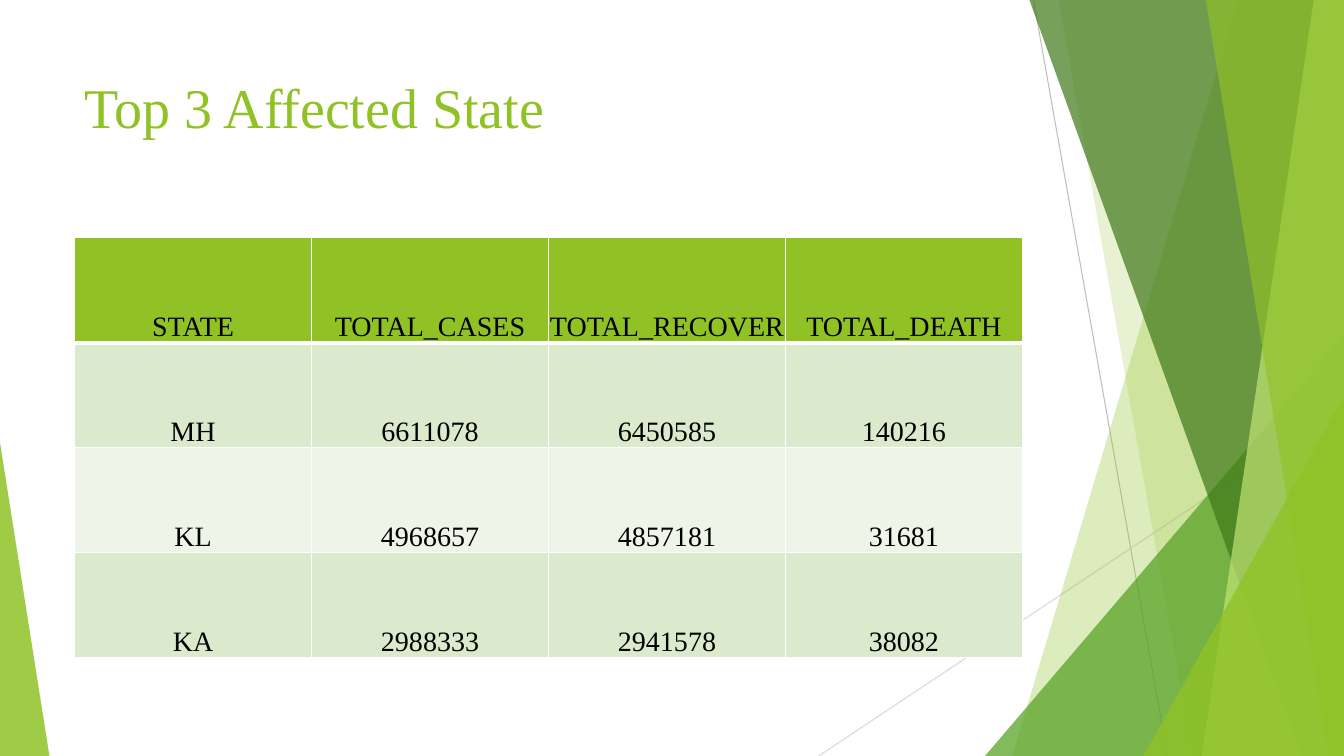
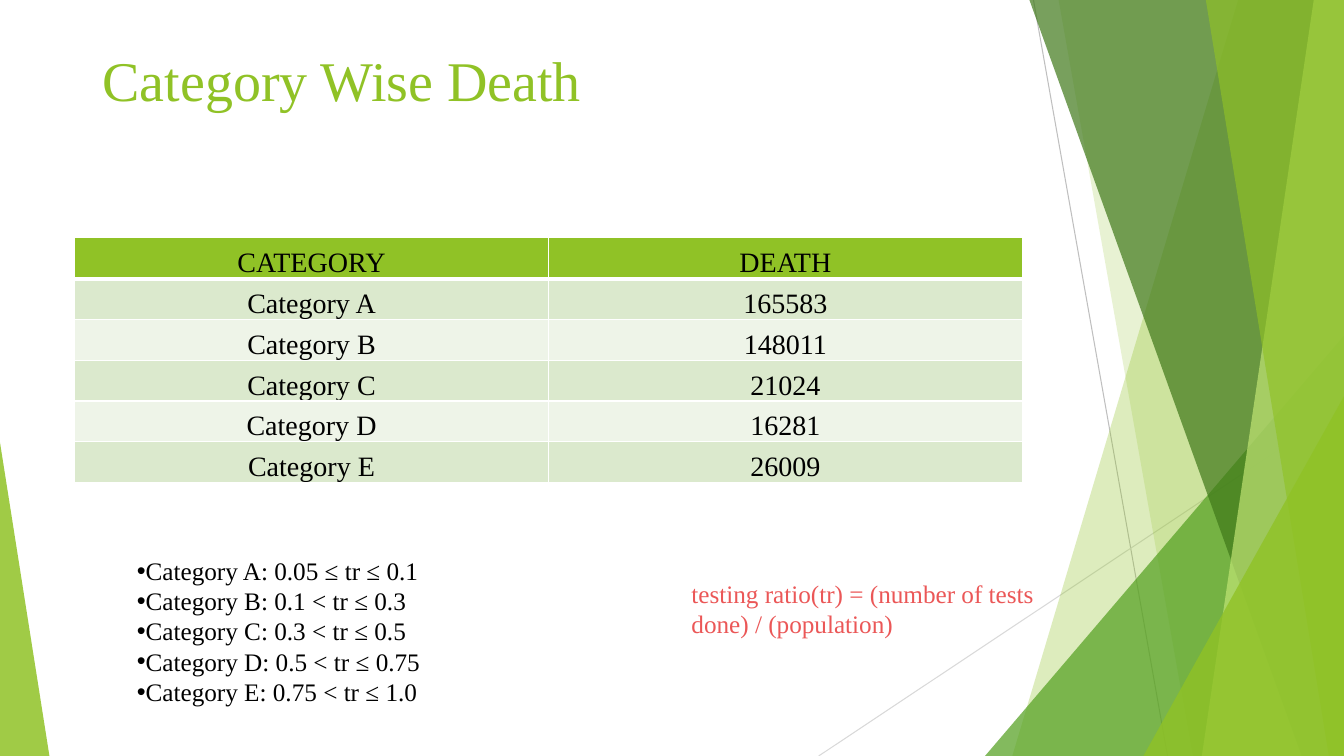
from lxml import etree
from pptx import Presentation
from pptx.dml.color import RGBColor
from pptx.enum.shapes import MSO_CONNECTOR, MSO_SHAPE
from pptx.enum.text import MSO_ANCHOR, PP_ALIGN
from pptx.oxml.ns import qn
from pptx.util import Inches, Pt

GREEN = RGBColor(0x90, 0xC2, 0x26)
MID_GREEN = RGBColor(0x54, 0xA0, 0x21)
DARK_GREEN = RGBColor(0x3F, 0x78, 0x19)
LIME = RGBColor(0xC0, 0xE4, 0x74)
ROW_DARK = RGBColor(0xDB, 0xE9, 0xCD)
ROW_LIGHT = RGBColor(0xEE, 0xF4, 0xE8)
BLACK = RGBColor(0, 0, 0)
WHITE = RGBColor(0xFF, 0xFF, 0xFF)
RED = RGBColor(0xEB, 0x57, 0x57)
GREY = RGBColor(0xBF, 0xBF, 0xBF)
LIGHT_GREY = RGBColor(0xD9, 0xD9, 0xD9)
FONT = "Times New Roman"
WIDTH, HEIGHT = 13.33, 7.5
TABLE_LEFT, TABLE_TOP, TABLE_WIDTH = 0.74, 2.36, 9.4

# Thin lines: start, end, colour
LINES = [
    ((10.25, 0), (11.58, HEIGHT), GREY),
    ((WIDTH, 4.03), (8.12, HEIGHT), LIGHT_GREY),
]
# Slabs reach the right edge: (left at top, left at bottom)
# Triangles stand on the bottom edge: (left, top, width, apex position)
BANDS = [
    ("slab", (12.28, 10.04), GREEN, 30),
    ("slab", (10.5, 11.83), GREEN, 20),
    ("triangle", (9.77, 3.33, 3.56, 1), MID_GREEN, 72),
    ("slab", (10.21, 12.91), DARK_GREEN, 70),
    ("slab", (13.03, 11.92), LIME, 70),
    ("slab", (11.96, 13.18), GREEN, 65),
    ("triangle", (11.34, 3.93, 1.99, 1), GREEN, 80),
    ("triangle", (0, 4.39, 0.49, 0), GREEN, 85),
]
# Title, title place, table row height, table rows
PAGES = [
    ("Top 3 Affected State", (0.74, 0.67, 9.4, 1.44), 1.04, [
        ("STATE", "TOTAL_CASES", "TOTAL_RECOVER", "TOTAL_DEATH"),
        ("MH", "6611078", "6450585", "140216"),
        ("KL", "4968657", "4857181", "31681"),
        ("KA", "2988333", "2941578", "38082"),
    ]),
    ("Category Wise Death", (0.92, 0.4, 11.5, 0.8), 0.405, [
        ("CATEGORY", "DEATH"),
        ("Category A", "165583"),
        ("Category B", "148011"),
        ("Category C", "21024"),
        ("Category D", "16281"),
        ("Category E", "26009"),
    ]),
]
RANGES = [
    "Category A: 0.05 ≤ tr ≤ 0.1",
    "Category B: 0.1 < tr ≤ 0.3",
    "Category C: 0.3 < tr ≤ 0.5",
    "Category D: 0.5 < tr ≤ 0.75",
    "Category E: 0.75 < tr ≤ 1.0",
]


def write(para, text, size, colour):
    span = para.add_run()
    span.text = text
    span.font.name = FONT
    span.font.size = Pt(size)
    span.font.color.rgb = colour


def add_text(page, place, lines, size, colour, bullet=None):
    """Add a wrapped text box with one paragraph per line."""
    box = page.shapes.add_textbox(*[Inches(length) for length in place])
    frame = box.text_frame
    frame.word_wrap = True
    for index, line in enumerate(lines):
        para = frame.add_paragraph() if index else frame.paragraphs[0]
        write(para, line, size, colour)
        if bullet:
            props = para._p.get_or_add_pPr()
            etree.SubElement(props, qn("a:buFont"), typeface="Arial")
            etree.SubElement(props, qn("a:buChar"), char=bullet)


deck = Presentation()
deck.slide_width, deck.slide_height = Inches(WIDTH), Inches(HEIGHT)
layout = deck.slide_layouts[6]
for holder in list(layout.placeholders):
    holder.element.getparent().remove(holder.element)
pages = [deck.slides.add_slide(layout) for _ in PAGES]

# Shared decoration: drawn on the first page, then moved to the layout
shapes = pages[0].shapes
for start, end, colour in LINES:
    line = shapes.add_connector(
        MSO_CONNECTOR.STRAIGHT, *[Inches(length) for length in start + end])
    line.line.color.rgb = colour
    line.line.width = Pt(0.75)
    etree.SubElement(line.element.spPr, qn("a:effectLst"))

for kind, place, colour, opacity in BANDS:
    if kind == "slab":
        top_left, bottom_left = place
        outline = shapes.build_freeform(Inches(top_left), 0)
        outline.add_line_segments([
            (Inches(WIDTH), 0),
            (Inches(WIDTH), Inches(HEIGHT)),
            (Inches(bottom_left), Inches(HEIGHT)),
        ], close=True)
        band = outline.convert_to_shape()
    else:
        left, top, width, apex = place
        band = shapes.add_shape(
            MSO_SHAPE.ISOSCELES_TRIANGLE, Inches(left), Inches(top),
            Inches(width), Inches(HEIGHT - top))
        band.adjustments[0] = apex
    band.shadow.inherit = False
    band.line.fill.background()
    band.fill.solid()
    band.fill.fore_color.rgb = colour
    tone = band.element.spPr.find(".//" + qn("a:srgbClr"))
    etree.SubElement(tone, qn("a:alpha"), val=str(opacity * 1000))

for shape in list(shapes):
    layout.shapes.element.append(shape.element)

# Titles and tables
for page, (title, title_place, row_height, rows) in zip(pages, PAGES):
    add_text(page, title_place, [title], 40, GREEN)
    columns = len(rows[0])
    table = page.shapes.add_table(
        len(rows), columns, Inches(TABLE_LEFT), Inches(TABLE_TOP),
        Inches(TABLE_WIDTH), Inches(row_height * len(rows))).table
    table.first_row = table.horz_banding = False
    for column in table.columns:
        column.width = Inches(TABLE_WIDTH / columns)
    for r, values in enumerate(rows):
        table.rows[r].height = Inches(row_height)
        fill = GREEN if r == 0 else ROW_DARK if r % 2 else ROW_LIGHT
        edges = {"L": 1, "R": 1, "T": 3 if r == 1 else 1, "B": 1 if r else 3}
        for c, value in enumerate(values):
            cell = table.cell(r, c)
            cell.margin_left = cell.margin_right = cell.margin_top = Inches(0.01)
            cell.margin_bottom = 0
            cell.vertical_anchor = MSO_ANCHOR.BOTTOM
            props = cell._tc.get_or_add_tcPr()
            for side, points in edges.items():
                edge = etree.SubElement(props, qn("a:ln" + side), w=str(Pt(points)))
                solid = etree.SubElement(edge, qn("a:solidFill"))
                etree.SubElement(solid, qn("a:srgbClr"), val=str(WHITE))
            cell.fill.solid()
            cell.fill.fore_color.rgb = fill
            para = cell.text_frame.paragraphs[0]
            para.alignment = PP_ALIGN.CENTER
            write(para, value, 20, BLACK)

# Notes under the category table
add_text(pages[1], (1.26, 5.46, 4.14, 1.92), RANGES, 18, BLACK, bullet="•")
add_text(pages[1], (6.76, 5.69, 4.14, 0.71),
         ["testing ratio(tr) = (number of tests done) / (population)"], 18, RED)

deck.save("out.pptx")
